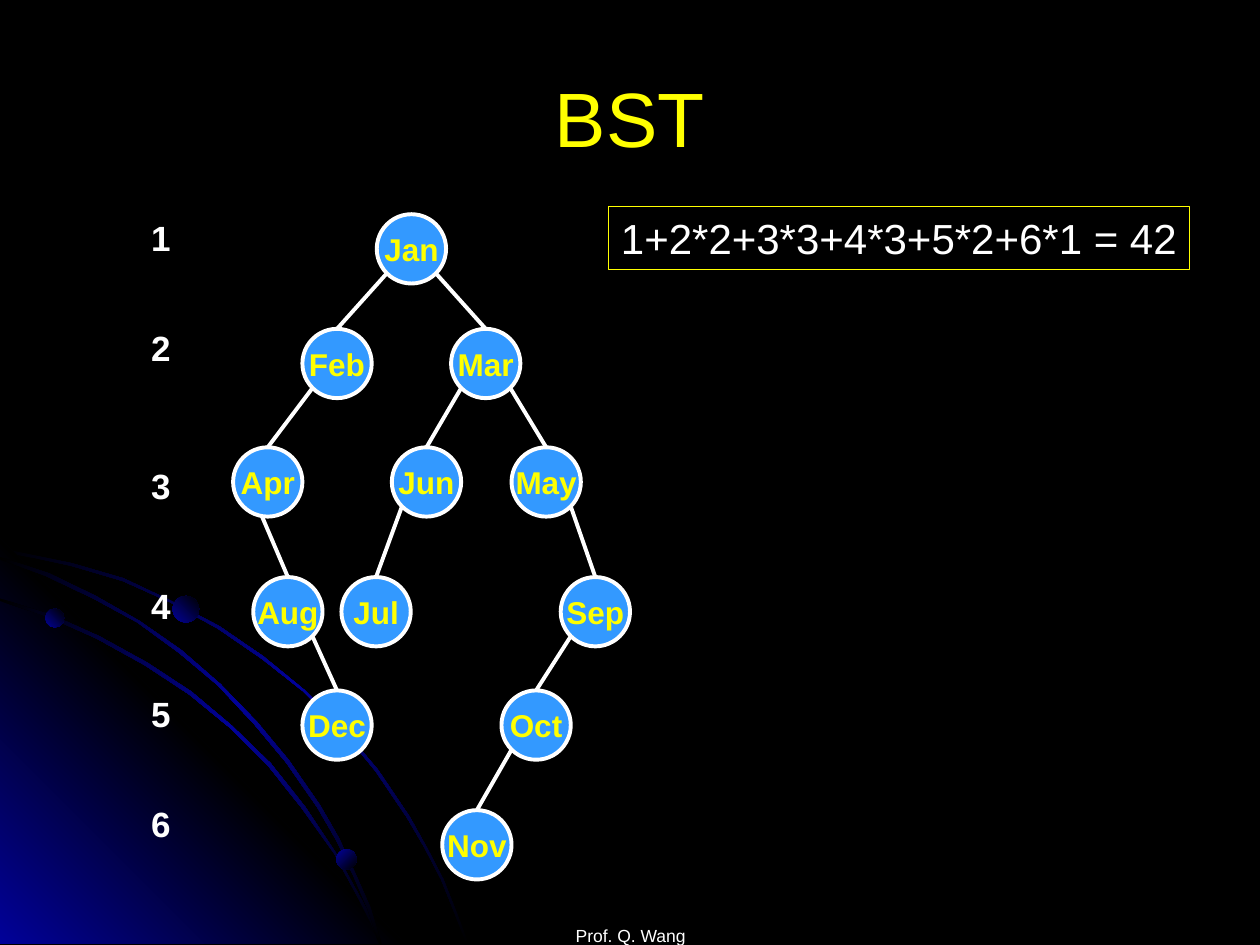
from copy import deepcopy

from pptx import Presentation
from pptx.dml.color import RGBColor
from pptx.enum.shapes import MSO_CONNECTOR, MSO_SHAPE
from pptx.enum.text import MSO_ANCHOR, MSO_AUTO_SIZE, PP_ALIGN
from pptx.oxml.ns import qn
from pptx.util import Inches, Pt

BLACK = RGBColor(0x00, 0x00, 0x00)
NAVY = RGBColor(0x01, 0x01, 0x99)
SKY = RGBColor(0x33, 0x99, 0xFF)
WHITE = RGBColor(0xFF, 0xFF, 0xFF)
YELLOW = RGBColor(0xFF, 0xFF, 0x00)

TITLE = "BST"
FORMULA = "1+2*2+3*3+4*3+5*2+6*1 = 42"
FOOTER = "Prof. Q. Wang"

LEVEL_TOPS = [1.7, 2.61, 3.55, 4.58, 5.48, 6.43]
NUMBER_TOPS = [1.67, 2.54, 3.64, 4.59, 5.45, 6.32]
NODE = 0.55
CORNER = 0.195
LEFT, RIGHT = (-CORNER, CORNER), (CORNER, CORNER)
NEAR_BOTTOM = (-0.045, NODE / 2)

MONTHS = [
    ("Jan", 1, 2.99, None, None),
    ("Feb", 2, 2.4, "Jan", LEFT),
    ("Mar", 2, 3.58, "Jan", RIGHT),
    ("Apr", 3, 1.85, "Feb", LEFT),
    ("May", 3, 4.06, "Mar", RIGHT),
    ("Jun", 3, 3.11, "Mar", LEFT),
    ("Sep", 4, 4.45, "May", RIGHT),
    ("Jul", 4, 2.71, "Jun", LEFT),
    ("Aug", 4, 2.01, "Apr", NEAR_BOTTOM),
    ("Oct", 5, 3.98, "Sep", LEFT),
    ("Dec", 5, 2.4, "Aug", RIGHT),
    ("Nov", 6, 3.51, "Oct", LEFT),
]

WIDE_ARC = [
    (0.57, 4.47), (0.28, 4.41), (0, 4.35), (0, 4.38), (0.28, 4.43), (0.56, 4.49),
    (0.97, 4.61), (1.35, 4.78), (1.73, 4.99), (2.08, 5.23), (2.41, 5.49), (2.71, 5.79),
    (2.98, 6.12), (3.23, 6.49), (3.37, 6.73), (3.5, 6.98), (3.6, 7.23), (3.7, 7.49),
    (3.72, 7.49), (3.62, 7.23), (3.52, 6.98), (3.39, 6.73), (3.25, 6.48), (3, 6.11),
    (2.72, 5.78), (2.42, 5.48), (2.09, 5.21), (1.74, 4.97), (1.36, 4.77), (0.98, 4.59),
]
CORNER_GLOW = [(3.22, 7.49), (0, 7.49), (0, 4.27)]
LOW_ARC = [
    (2.85, 7.14), (2.94, 7.32), (3.01, 7.49), (3.03, 7.49), (2.96, 7.3), (2.86, 7.12),
    (2.66, 6.76), (2.42, 6.4), (2.15, 6.06), (1.84, 5.76), (1.52, 5.49), (1.17, 5.26),
    (0.79, 5.05), (0.41, 4.88), (0, 4.75), (0, 4.77), (0.39, 4.9), (0.77, 5.07),
    (1.15, 5.28), (1.5, 5.51), (1.83, 5.78), (2.13, 6.08), (2.4, 6.42), (2.65, 6.77),
]
MIDDLE_ARC = [
    (0, 4.42), (0, 4.44), (0.36, 4.57), (0.74, 4.75), (1.09, 4.94), (1.42, 5.18),
    (1.73, 5.44), (2.02, 5.75), (2.27, 6.05), (2.52, 6.41), (2.67, 6.67), (2.8, 6.94),
    (2.92, 7.22), (3.01, 7.49), (3.03, 7.49), (2.94, 7.2), (2.82, 6.93), (2.69, 6.65),
    (2.54, 6.39), (2.29, 6.03), (2.04, 5.73), (1.75, 5.43), (1.44, 5.16), (1.11, 4.93),
    (0.76, 4.73), (0.39, 4.55),
]
FADE_ENDS = (BLACK, NAVY, BLACK)
BACKDROP = [
    (WIDE_ARC, FADE_ENDS, 315),
    (CORNER_GLOW, (NAVY, BLACK, NAVY), 45),
    (LOW_ARC, FADE_ENDS, 315),
    (MIDDLE_ARC, FADE_ENDS, 315),
]
BEADS = [(0.36, 4.83, 0.15, 45), (2.67, 6.74, 0.16, 315), (1.37, 4.73, 0.21, 45)]

prs = Presentation()
prs.slide_width, prs.slide_height = Inches(10), Inches(7.5)
slide = prs.slides.add_slide(prs.slide_layouts[6])
slide.background.fill.solid()
slide.background.fill.fore_color.rgb = BLACK
shapes = slide.shapes


def shade(shape, colours, angle):
    shape.shadow.inherit = False
    shape.line.fill.background()
    fill = shape.fill
    fill.gradient()
    fill.gradient_angle = angle
    if len(colours) == 3:
        stops = shape._element.spPr.find(qn("a:gradFill")).find(qn("a:gsLst"))
        stops.append(deepcopy(stops[-1]))
    for i, (stop, colour) in enumerate(zip(fill.gradient_stops, colours)):
        stop.color.rgb = colour
        stop.position = i / (len(colours) - 1)


def write(shape, text, *, size, colour=WHITE, bold=False, align=PP_ALIGN.LEFT,
          anchor=MSO_ANCHOR.TOP, wrap=False, grow=False, bottom=0.05):
    frame = shape.text_frame
    frame.word_wrap = wrap
    frame.auto_size = MSO_AUTO_SIZE.SHAPE_TO_FIT_TEXT if grow else MSO_AUTO_SIZE.NONE
    frame.vertical_anchor = anchor
    frame.margin_bottom = Inches(bottom)
    paragraph = frame.paragraphs[0]
    paragraph.text = text
    paragraph.alignment = align
    font = paragraph.font
    font.name, font.size, font.bold = "Arial", Pt(size), bold
    font.color.rgb = colour


def text_box(left, top, width, height, text, **style):
    box = shapes.add_textbox(Inches(left), Inches(top), Inches(width), Inches(height))
    write(box, text, **style)
    return box


def month_node(name, left, top):
    node = shapes.add_shape(MSO_SHAPE.OVAL, Inches(left), Inches(top), Inches(NODE), Inches(NODE))
    node.shadow.inherit = False
    node.fill.solid()
    node.fill.fore_color.rgb = SKY
    node.line.color.rgb = WHITE
    node.line.width = Pt(2.25)
    write(node, name, size=18, colour=YELLOW, bold=True,
          align=PP_ALIGN.CENTER, anchor=MSO_ANCHOR.MIDDLE)
    return node


def branch(parent, child, offset):
    start_x = parent.left + parent.width // 2 + Inches(offset[0])
    start_y = parent.top + parent.height // 2 + Inches(offset[1])
    line = shapes.add_connector(MSO_CONNECTOR.STRAIGHT, start_x, start_y,
                                child.left + child.width // 2, child.top)
    line.end_connect(child, 0)
    line.line.color.rgb = WHITE
    line.line.width = Pt(2.25)
    properties = line._element.spPr
    properties.append(properties.makeelement(qn("a:effectLst"), {}))


for points, colours, angle in BACKDROP:
    (start_x, start_y), *rest = [(Inches(x), Inches(y)) for x, y in points]
    outline = shapes.build_freeform(start_x, start_y)
    outline.add_line_segments(rest, close=True)
    shade(outline.convert_to_shape(), colours, angle)

for left, top, size, angle in BEADS:
    bead = shapes.add_shape(MSO_SHAPE.OVAL, Inches(left), Inches(top), Inches(size), Inches(size))
    shade(bead, (NAVY, BLACK), angle)

text_box(3.42, 7.01, 3.17, 0.5, FOOTER, size=10, align=PP_ALIGN.CENTER,
         anchor=MSO_ANCHOR.BOTTOM, wrap=True, bottom=0)
text_box(0.5, 0.3, 9, 1.25, TITLE, size=44, colour=YELLOW, align=PP_ALIGN.CENTER,
         anchor=MSO_ANCHOR.MIDDLE, wrap=True)

nodes = {}
for name, level, left, parent, offset in MONTHS:
    nodes[name] = month_node(name, left, LEVEL_TOPS[level - 1])
    if parent:
        branch(nodes[parent], nodes[name], offset)

formula = text_box(4.83, 1.64, 4.61, 0.5, FORMULA, size=24, grow=True)
formula.line.color.rgb = YELLOW
formula.line.width = Pt(0.75)

for number, top in enumerate(NUMBER_TOPS, 1):
    text_box(1.1, top, 0.35, 0.44, str(number), size=20, bold=True, grow=True)

prs.save("out.pptx")
